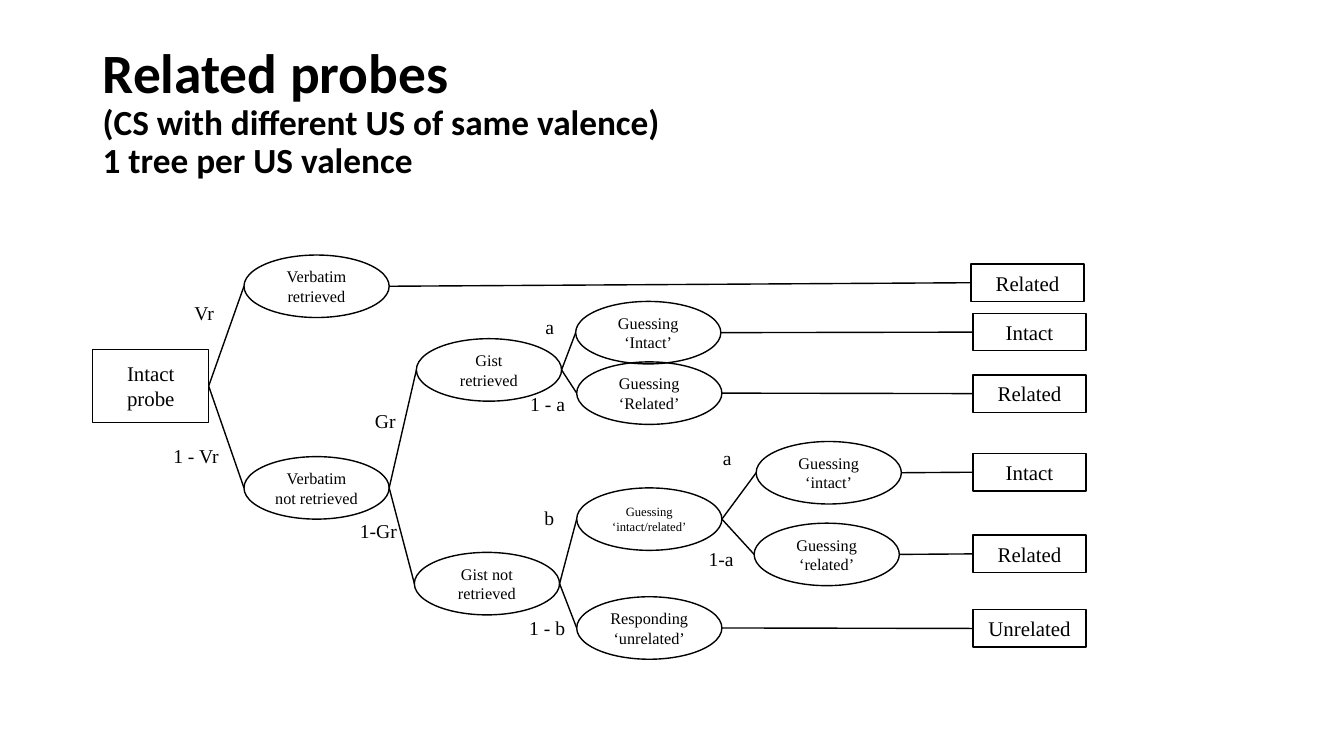
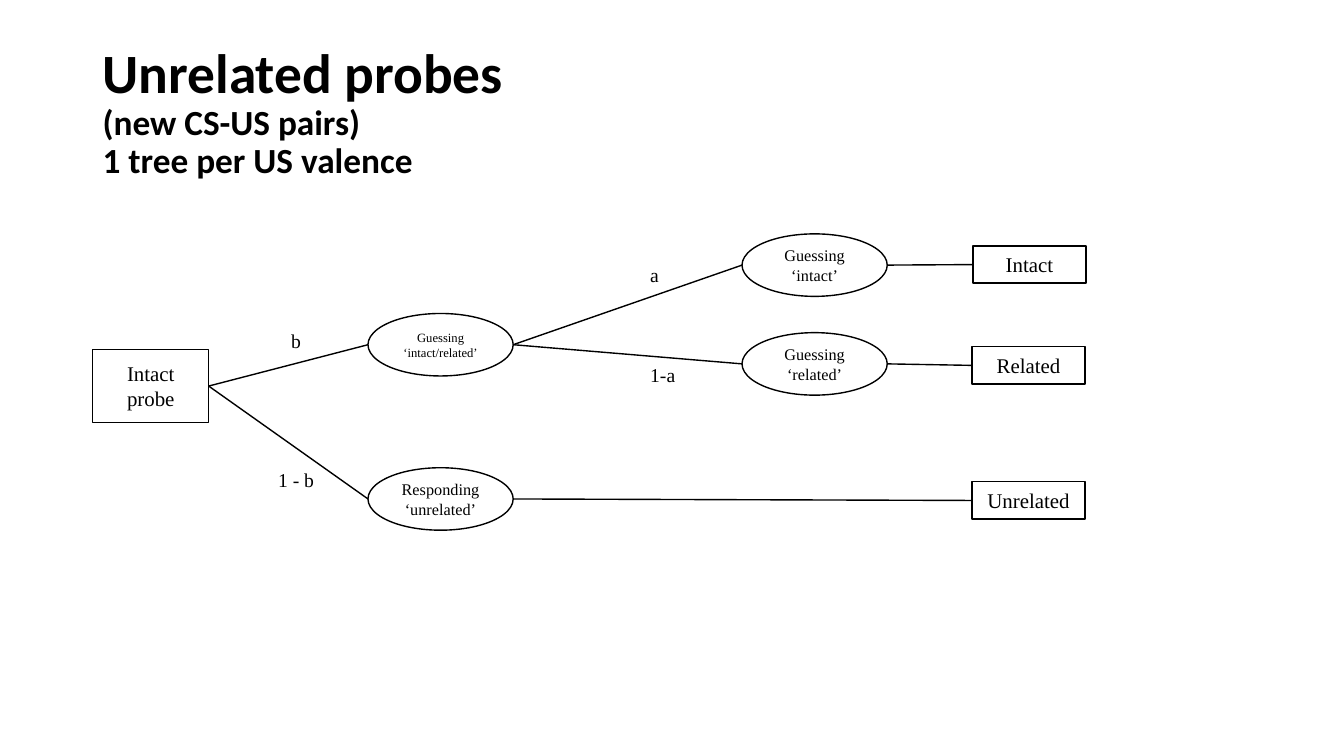
from pptx import Presentation
from pptx.dml.color import RGBColor
from pptx.enum.shapes import MSO_CONNECTOR as Line, MSO_SHAPE as Shape
from pptx.enum.text import MSO_ANCHOR as Anchor, MSO_AUTO_SIZE as Auto, PP_ALIGN as Align
from pptx.oxml.ns import qn
from pptx.util import Inches, Pt

INK = "000000"
HEAD, BODY = "Calibri", "Times New Roman"
ROOT = ("Intact probe", 0.92, 3.47)
ROOT_SIZE, OVAL_SIZE, BOX_SIZE = (1.15, 0.72), (1.44, 0.62), (1.12, 0.37)

# key, parent, text, left, top, (label, left, top)
RELATED = {
    "title": ("Related probes ", "(CS with different US of same valence)", "1 tree per US valence"),
    "ovals": [
        ("verb", "root", "Verbatim retrieved", 2.42, 2.53, ("Vr", 1.83, 2.94)),
        ("no verb", "root", "Verbatim not retrieved", 2.42, 4.53, ("1 - Vr", 1.62, 4.36)),
        ("gist", "no verb", "Gist retrieved", 4.13, 3.36, ("Gr", 3.62, 4.01)),
        ("no gist", "no verb", "Gist not retrieved", 4.11, 5.48, ("1-Gr", 3.47, 5.1)),
        ("gist int", "gist", "Guessing ‘Intact’", 5.71, 2.99, ("a", 5.31, 3.08)),
        ("gist rel", "gist", "Guessing ‘Related’", 5.72, 3.59, ("1 - a", 5.16, 3.84)),
        ("guess", "no gist", "Guessing ‘intact/related’", 5.72, 4.84, ("b", 5.3, 4.97)),
        ("unrel", "no gist", "Responding ‘unrelated’", 5.72, 5.92, ("1 - b", 5.15, 6.06)),
        ("int", "guess", "Guessing ‘intact’", 7.5, 4.38, ("a", 7.07, 4.37)),
        ("rel", "guess", "Guessing ‘related’", 7.48, 5.19, ("1-a", 6.93, 5.38)),
    ],
    "boxes": [
        ("verb", "Related", 9.63, 2.62),
        ("gist int", "Intact", 9.65, 3.11),
        ("gist rel", "Related", 9.65, 3.72),
        ("int", "Intact", 9.65, 4.5),
        ("rel", "Related", 9.65, 5.31),
        ("unrel", "Unrelated", 9.65, 6.05),
    ],
}
UNRELATED = {
    "title": ("Unrelated probes ", "(new CS-US pairs)", "1 tree per US valence"),
    "ovals": [
        ("guess", "root", "Guessing ‘intact/related’", 3.65, 3.11, ("b", 2.79, 3.21)),
        ("unrel", "root", "Responding ‘unrelated’", 3.65, 4.64, ("1 - b", 2.66, 4.59)),
        ("int", "guess", "Guessing ‘intact’", 7.36, 2.32, ("a", 6.35, 2.56)),
        ("rel", "guess", "Guessing ‘related’", 7.36, 3.3, ("1-a", 6.35, 3.55)),
    ],
    "boxes": [
        ("int", "Intact", 9.65, 2.44),
        ("rel", "Related", 9.64, 3.44),
        ("unrel", "Unrelated", 9.64, 4.78),
    ],
}


def paint(target, color):
    target.rgb = RGBColor.from_string(color)


def add_run(para, text, size, font=BODY, bold=False):
    run = para.add_run()
    run.text = text
    run.font.size, run.font.name, run.font.bold = Pt(size), font, bold
    paint(run.font.color, INK)


def add_text(slide, left, top, width, height):
    box = slide.shapes.add_textbox(*map(Inches, (left, top, width, height)))
    box.text_frame.word_wrap = True
    return box.text_frame


def add_title(slide, lines):
    frame = add_text(slide, 0.92, 0.4, 11.5, 1.45)
    frame.vertical_anchor = Anchor.MIDDLE
    para = frame.paragraphs[0]
    para.line_spacing = 0.9
    for i, line in enumerate(lines):
        if i:
            para.add_line_break()
        add_run(para, line, 25.2 if i else 39.6, HEAD, True)


def add_label(slide, text, left, top):
    frame = add_text(slide, left, top, 0.81 if len(text) > 5 else 0.59, 0.34)
    frame.auto_size = Auto.SHAPE_TO_FIT_TEXT
    add_run(frame.paragraphs[0], text, 14)


def add_node(slide, kind, text, left, top, area, size):
    node = slide.shapes.add_shape(kind, *map(Inches, (left, top, *area)))
    node.shadow.inherit = False
    node.fill.background()
    paint(node.line.color, INK)
    node.line.width = Pt(1)
    frame = node.text_frame
    frame.word_wrap = True
    frame.vertical_anchor = Anchor.MIDDLE
    para = frame.paragraphs[0]
    para.alignment = Align.CENTER
    add_run(para, text, size)
    return node


def add_link(slide, start, end):
    link = slide.shapes.add_connector(
        Line.STRAIGHT, start.left + start.width, start.top + start.height // 2,
        end.left, end.top + end.height // 2)
    if start.auto_shape_type == Shape.RECTANGLE:
        link.begin_connect(start, 3)
    if end.auto_shape_type == Shape.RECTANGLE:
        link.end_connect(end, 1)
    paint(link.line.color, INK)
    link.line.width = Pt(1)
    props = link._element.spPr
    props.append(props.makeelement(qn("a:effectLst"), {}))


def add_tree(deck, tree):
    slide = deck.slides.add_slide(deck.slide_layouts[6])
    add_title(slide, tree["title"])
    nodes = {"root": add_node(slide, Shape.RECTANGLE, *ROOT, ROOT_SIZE, 14.9)}
    for key, start, text, left, top, label in tree["ovals"]:
        size = 9 if "/" in text else 11.6
        nodes[key] = add_node(slide, Shape.OVAL, text, left, top, OVAL_SIZE, size)
        add_link(slide, nodes[start], nodes[key])
        add_label(slide, *label)
    for start, text, left, top in tree["boxes"]:
        box = add_node(slide, Shape.RECTANGLE, text, left, top, BOX_SIZE, 14.9)
        add_link(slide, nodes[start], box)


def main():
    deck = Presentation()
    deck.slide_width, deck.slide_height = Inches(13.33), Inches(7.5)
    for tree in (RELATED, UNRELATED):
        add_tree(deck, tree)
    deck.save("out.pptx")


if __name__ == "__main__":
    main()
